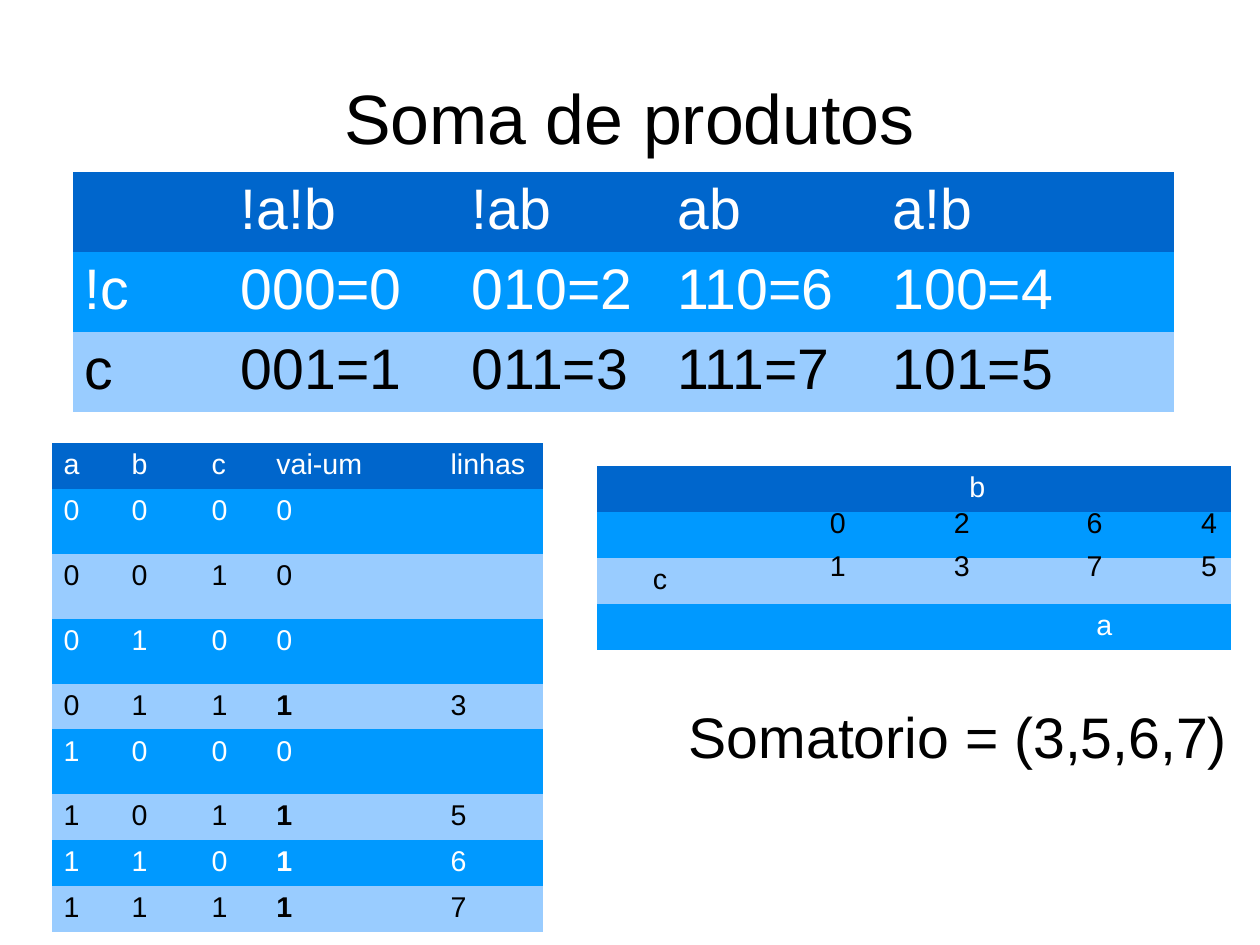
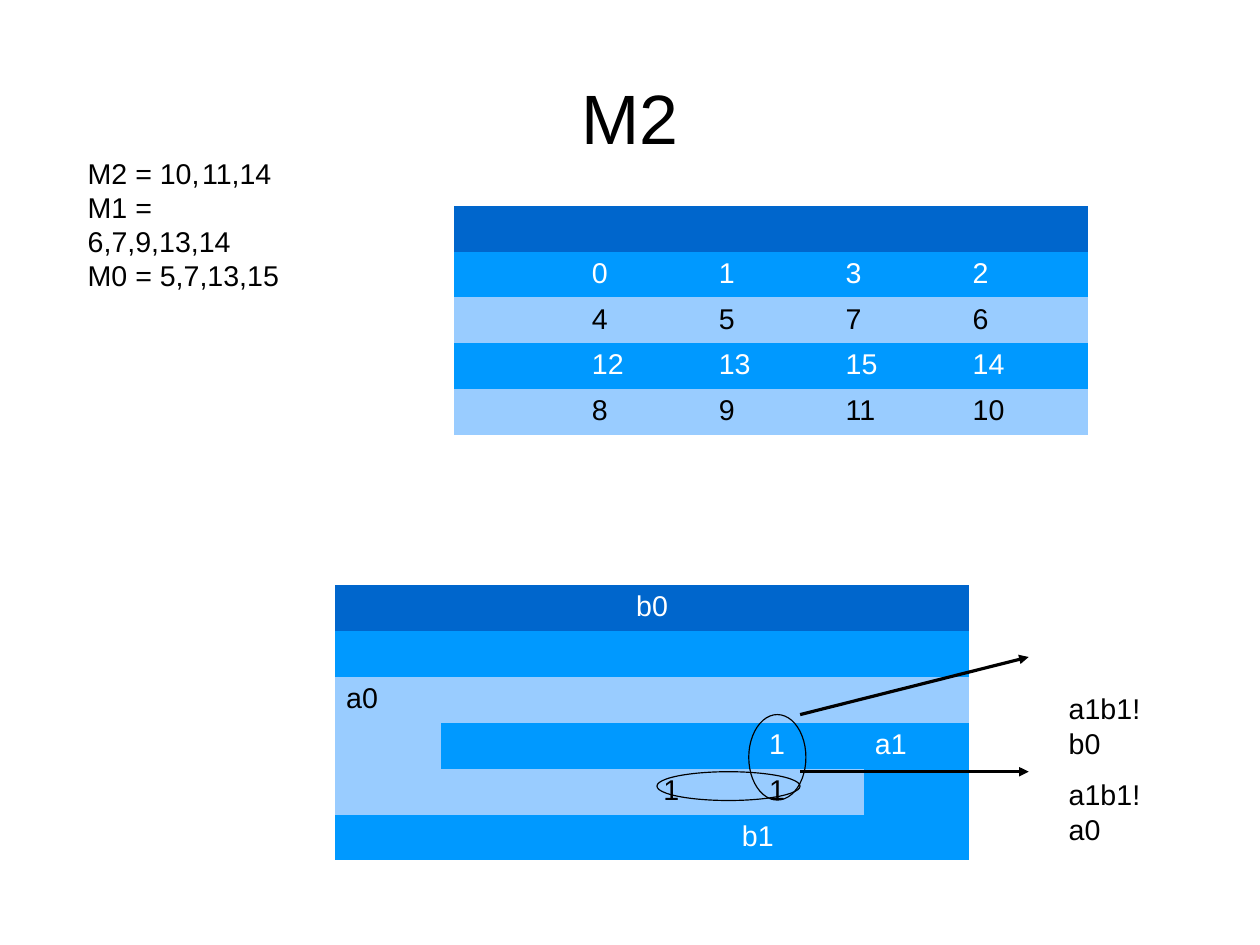
import pptx
import pptx.dml.color
import pptx.enum.shapes
import pptx.enum.text
import pptx.oxml
import pptx.oxml.ns
import pptx.util

Cm = pptx.util.Cm
Pt = pptx.util.Pt

FONT = "Arial"
BLACK, WHITE = "000000", "FFFFFF"
HEADER, ODD_ROW, EVEN_ROW = "0066CC", "0099FF", "99CCFF"
PLAIN_TABLE_STYLE = "{2D5ABB26-0587-4C30-8999-92F81FD0307C}"
TITLE_BOX = (1.4, 0.84, 25.2, 3.5)
ROW = 1.02
TALL_ROW = 1.44

# Positions and lengths are in centimetres; a merge is (row, column, row, column).
PRODUCT_TABLE = dict(
    cells=[
        ["", "!a!b", "!ab", "ab", "a!b"],
        ["!c", "000=0", "010=2", "110=6", "100=4"],
        ["c", "001=1", "011=3", "111=7", "101=5"],
    ],
    left=1.62, top=3.82, widths=[3.48, 5.13, 4.57, 4.78, 6.51], heights=[1.78] * 3, size=36,
)
TRUTH_ROWS = [
    ["a", "b", "c", "vai-um", "linhas"],
    ["0", "0", "0", "0", ""],
    ["0", "0", "1", "0", ""],
    ["0", "1", "0", "0", ""],
    ["0", "1", "1", "1", "3"],
    ["1", "0", "0", "0", ""],
    ["1", "0", "1", "1", "5"],
    ["1", "1", "0", "1", "6"],
    ["1", "1", "1", "1", "7"],
]
TRUTH_TABLE = dict(
    cells=TRUTH_ROWS, left=1.16, top=9.85, widths=[1.51, 1.78, 1.44, 3.87, 2.31],
    heights=[ROW if row[-1] else TALL_ROW for row in TRUTH_ROWS],
    bold={(index, 3) for index, row in enumerate(TRUTH_ROWS) if row[3] == "1"},
)
CARRY_MAP = dict(
    cells=[
        ["", "", "b", "", ""],
        ["", "", "", "", ""],
        ["c", "", "", "", ""],
        ["", "", "", "a", ""],
    ],
    left=13.26, top=10.36, widths=[2.82] * 5, heights=[ROW] * 4,
    merges=[(0, 2, 0, 3), (3, 3, 3, 4)], centred=("a", "b", "c"),
)
DIGIT_COLUMNS = [(18.19, "01"), (20.95, "23"), (23.9, "67"), (26.44, "45")]
DIGIT_TOPS = [11.1, 12.06]
SUM_TEXT = "Somatorio = (3,5,6,7)"

MINTERMS = "M2 = 10,\t11,14\nM1 = 6,7,9,13,14\nM0 = 5,7,13,15"
POSITION_MAP = dict(
    cells=[
        ["", "", "", "", ""],
        ["", "0", "1", "3", "2"],
        ["", "4", "5", "7", "6"],
        ["", "12", "13", "15", "14"],
        ["", "8", "9", "11", "10"],
    ],
    left=10.08, top=4.57, widths=[2.82] * 5, heights=[ROW] * 5,
)
M2_MAP = dict(
    cells=[
        ["", "", "b0", "", "", ""],
        ["", "", "", "", "", ""],
        ["a0", "", "", "", "", ""],
        ["", "", "", "", "1", "a1"],
        ["", "", "", "1", "1", ""],
        ["", "", "", "b1", "", ""],
    ],
    left=7.44, top=13, widths=[2.35] * 6, heights=[ROW] * 6,
    merges=[(0, 2, 0, 3), (2, 0, 3, 0), (3, 5, 4, 5), (5, 3, 5, 4)],
    centred=("b0", "b1"),
)
GROUPS = [
    dict(term="a1b1!a0", label_top=17.15, ring=(14.6, 17.15, 3.18, 0.64),
         arrow=(17.78, 17.15, 22.86, 17.15)),
    dict(term="a1b1!b0", label_top=15.24, ring=(16.64, 15.88, 1.27, 1.9),
         arrow=(17.78, 15.88, 22.86, 14.6)),
]


def colour(value):
    return pptx.dml.color.RGBColor.from_string(value)


def write(frame, text, size=18, color=BLACK, bold=False, centred=False):
    for index, line in enumerate(text.split("\n")):
        para = frame.add_paragraph() if index else frame.paragraphs[0]
        if centred:
            para.alignment = pptx.enum.text.PP_ALIGN.CENTER
        span = para.add_run()
        span.text = line
        span.font.name = FONT
        span.font.size = Pt(size)
        span.font.bold = bold
        span.font.color.rgb = colour(color)


def add_text(slide, text, left, top, width, height, **style):
    box = slide.shapes.add_textbox(Cm(left), Cm(top), Cm(width), Cm(height))
    box.text_frame.word_wrap = False
    write(box.text_frame, text, **style)
    return box


def add_titled_slide(deck, title):
    slide = deck.slides.add_slide(deck.slide_layouts[6])
    frame = add_text(slide, title, *TITLE_BOX, size=44, centred=True).text_frame
    frame.word_wrap = True
    frame.vertical_anchor = pptx.enum.text.MSO_ANCHOR.MIDDLE
    frame.margin_left = frame.margin_right = frame.margin_top = frame.margin_bottom = 0
    return slide


def row_colours(row):
    """Return the fill and the text colour of a table row."""
    if row == 0:
        return HEADER, WHITE
    return (ODD_ROW, WHITE) if row % 2 else (EVEN_ROW, BLACK)


def add_banded_table(slide, cells, left, top, widths, heights, size=18,
                     merges=(), centred=(), bold=()):
    table = slide.shapes.add_table(
        len(heights), len(widths), Cm(left), Cm(top), Cm(sum(widths)), Cm(sum(heights))
    ).table
    table.first_row = table.horz_banding = False
    properties = table._tbl.tblPr
    properties.find(pptx.oxml.ns.qn("a:tableStyleId")).text = PLAIN_TABLE_STYLE
    for column, width in zip(table.columns, widths):
        column.width = Cm(width)
    for row, height in zip(table.rows, heights):
        row.height = Cm(height)
    for first_row, first_column, last_row, last_column in merges:
        table.cell(first_row, first_column).merge(table.cell(last_row, last_column))
    for row, texts in enumerate(cells):
        fill, color = row_colours(row)
        for column, text in enumerate(texts):
            cell = table.cell(row, column)
            cell.fill.solid()
            cell.fill.fore_color.rgb = colour(fill)
            if text:
                write(cell.text_frame, text, size=size, color=color,
                      bold=(row, column) in bold, centred=text in centred)


def add_ring(slide, left, top, width, height):
    ring = slide.shapes.add_shape(
        pptx.enum.shapes.MSO_SHAPE.OVAL, Cm(left), Cm(top), Cm(width), Cm(height))
    ring.shadow.inherit = False
    ring.fill.background()
    ring.line.color.rgb = colour(BLACK)
    ring.line.width = Pt(0)


def add_arrow(slide, *ends):
    arrow = slide.shapes.add_connector(
        pptx.enum.shapes.MSO_CONNECTOR.STRAIGHT, *[Cm(end) for end in ends])
    arrow.line.color.rgb = colour(BLACK)
    arrow.line.width = Pt(0)
    head = pptx.oxml.parse_xml(
        '<a:tailEnd %s type="triangle"/>' % pptx.oxml.ns.nsdecls("a"))
    arrow.line._get_or_add_ln().append(head)
    effects = pptx.oxml.parse_xml('<a:effectLst %s/>' % pptx.oxml.ns.nsdecls("a"))
    arrow._element.spPr.append(effects)


def build_products(deck):
    slide = add_titled_slide(deck, "Soma de produtos")
    for table in (TRUTH_TABLE, PRODUCT_TABLE, CARRY_MAP):
        add_banded_table(slide, **table)
    add_text(slide, SUM_TEXT, 15.06, 15.47, 12.47, 1.68, size=36)
    for left, digits in DIGIT_COLUMNS:
        for top, digit in zip(DIGIT_TOPS, digits):
            add_text(slide, digit, left, top, 0.86, 0.97)


def build_m2(deck):
    slide = add_titled_slide(deck, "M2")
    add_text(slide, MINTERMS, 1.7, 3.33, 5.28, 2.39)
    for table in (POSITION_MAP, M2_MAP):
        add_banded_table(slide, **table)
    for group in GROUPS:
        add_ring(slide, *group["ring"])
        add_arrow(slide, *group["arrow"])
        add_text(slide, group["term"], 23.5, group["label_top"], 2.79, 0.97)


def main():
    deck = pptx.Presentation()
    deck.slide_width, deck.slide_height = Cm(28), Cm(21)
    build_products(deck)
    build_m2(deck)
    deck.save("out.pptx")


if __name__ == "__main__":
    main()
